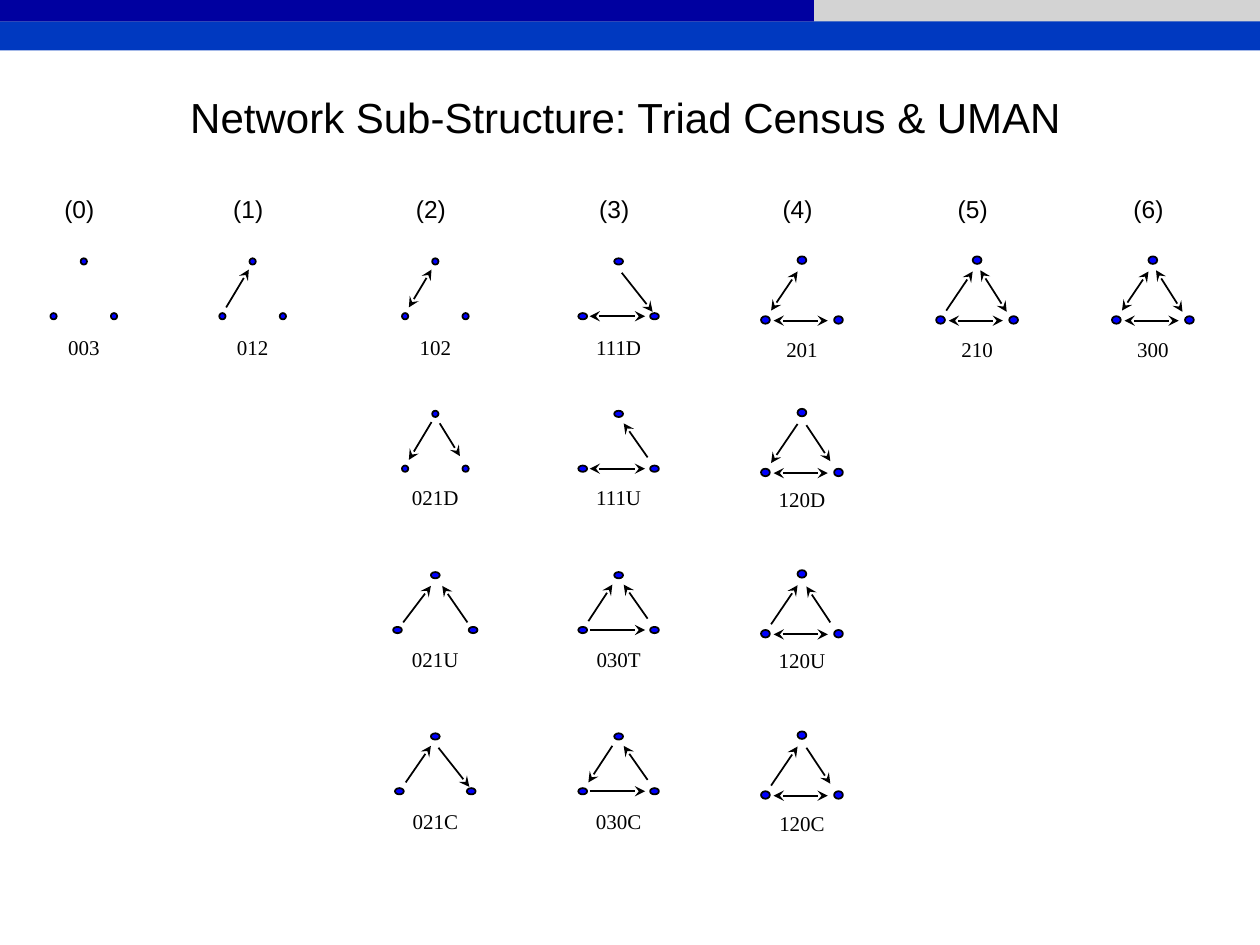
from dataclasses import dataclass, replace
from enum import Enum
from typing import NamedTuple

from lxml import etree
from pptx import Presentation
from pptx import util as u
from pptx.dml.color import RGBColor
from pptx.enum import shapes, text
from pptx.oxml.ns import qn

COLUMNS, ROWS = 1000, 750
COLORS = {"bar": "0039C0", "navy": "0000A0", "grey": "D3D3D3",
          "node": "0000FF", "ink": "000000"}

presentation = Presentation()
presentation.slide_width, presentation.slide_height = u.Inches(10), u.Inches(7.5)


def across(columns: float) -> int:
    return round(presentation.slide_width * columns / COLUMNS)


def down(rows: float) -> int:
    return round(presentation.slide_height * rows / ROWS)


class Flow(Enum):
    FORWARD = ("tailEnd",)
    BACKWARD = ("headEnd",)
    BOTH = ("headEnd", "tailEnd")


class Segment(NamedTuple):
    x1: float
    y1: float
    x2: float
    y2: float


class Row(NamedTuple):
    apex: float
    caption: float


@dataclass(frozen=True)
class Frame:
    half_base: float
    drop: float
    node_width: float
    node_height: float
    left: Segment
    right: Segment
    base: Segment
    lift: float = 0


@dataclass(frozen=True)
class Triad:
    name: str
    column: int
    row: int
    frame: Frame
    left: Flow | None = None
    right: Flow | None = None
    base: Flow | None = None


CENTERS = (66.5, 200.5, 345.5, 491, 636.5, 775.5, 915)
TRIAD_ROWS = (Row(207.5, 261), Row(328.5, 380), Row(456.5, 508), Row(584.5, 637))

NARROW = Frame(24, 43.5, 5, 5, Segment(-21, 36.5, -3, 6.5),
               Segment(19.5, 33.5, 3.5, 7.5), Segment(-18, 43.5, 18, 43.5))
WIDE = Frame(28.5, 43.5, 7, 5, Segment(-24, 36.5, -5, 7.5),
             Segment(23, 34.5, 4, 7.5), Segment(-23, 43.5, 21, 43.5))
STEEP = replace(WIDE, left=Segment(-23.5, 36.5, -3.5, 7.5),
                right=Segment(27, 40, 2.5, 9))
BROAD = replace(WIDE, half_base=30, left=Segment(-25.5, 37.5, -3.5, 8.5),
                right=Segment(25.5, 37.5, 5.5, 8.5))
TALL = Frame(29, 47.5, 7, 6, Segment(-24.5, 40, -3.5, 9),
             Segment(22.5, 38.5, 3.5, 10), Segment(-22.5, 48, 20.5, 48), lift=1)
LONG = replace(TALL, right=Segment(23.5, 41, 2.5, 8))

UP, DOWN, BOTH = Flow.FORWARD, Flow.BACKWARD, Flow.BOTH
RIGHTWARD = Flow.FORWARD
TRIADS = (
    Triad("003", 0, 0, NARROW),
    Triad("012", 1, 0, NARROW, left=UP),
    Triad("102", 2, 0, NARROW, left=BOTH),
    Triad("021D", 2, 1, NARROW, left=DOWN, right=DOWN),
    Triad("021U", 2, 2, BROAD, left=UP, right=UP),
    Triad("021C", 2, 3, STEEP, left=UP, right=DOWN),
    Triad("111D", 3, 0, STEEP, right=DOWN, base=BOTH),
    Triad("111U", 3, 1, WIDE, right=UP, base=BOTH),
    Triad("030T", 3, 2, WIDE, left=UP, right=UP, base=RIGHTWARD),
    Triad("030C", 3, 3, WIDE, left=DOWN, right=UP, base=RIGHTWARD),
    Triad("201", 4, 0, TALL, left=BOTH, base=BOTH),
    Triad("120D", 4, 1, TALL, left=DOWN, right=DOWN, base=BOTH),
    Triad("120U", 4, 2, TALL, left=UP, right=UP, base=BOTH),
    Triad("120C", 4, 3, TALL, left=UP, right=DOWN, base=BOTH),
    Triad("210", 5, 0, LONG, left=UP, right=BOTH, base=BOTH),
    Triad("300", 6, 0, LONG, left=BOTH, right=BOTH, base=BOTH),
)


def add_filled(parent, kind, left: float, top: float, width: float,
               height: float, color: str):
    shape = parent.shapes.add_shape(kind, across(left), down(top),
                                    across(width), down(height))
    shape.shadow.inherit = False
    shape.fill.solid()
    shape.fill.fore_color.rgb = RGBColor.from_string(COLORS[color])
    shape.line.fill.background()
    return shape


def add_node(group, x: float, y: float, frame: Frame) -> None:
    node = add_filled(group, shapes.MSO_SHAPE.OVAL, x - frame.node_width / 2,
                      y - frame.node_height / 2, frame.node_width,
                      frame.node_height, "node")
    node.line.color.rgb = RGBColor.from_string(COLORS["ink"])
    node.line.width = u.Pt(1)


def add_arrow(group, x: float, y: float, segment: Segment, flow: Flow) -> None:
    arrow = group.shapes.add_connector(
        shapes.MSO_CONNECTOR.STRAIGHT, across(x + segment.x1), down(y + segment.y1),
        across(x + segment.x2), down(y + segment.y2))
    arrow.line.color.rgb = RGBColor.from_string(COLORS["ink"])
    arrow.line.width = u.Pt(1)
    line = arrow.line._get_or_add_ln()
    for end in flow.value:
        etree.SubElement(line, qn(f"a:{end}"), type="stealth")
    etree.SubElement(arrow._element.spPr, qn("a:effectLst"))


def write(shape, wording: str, font: str, size: float, alignment) -> None:
    frame = shape.text_frame
    frame.text = wording
    frame.word_wrap = False
    paragraph = frame.paragraphs[0]
    paragraph.alignment = alignment
    paragraph.font.name = font
    paragraph.font.size = u.Pt(size)
    paragraph.font.color.rgb = RGBColor.from_string(COLORS["ink"])


def add_label(slide, wording: str, center: float, top: float, width: float,
              height: float, font: str, size: float) -> None:
    label = slide.shapes.add_textbox(across(center - width / 2), down(top),
                                     across(width), down(height))
    write(label, wording, font, size, text.PP_ALIGN.CENTER)


def draw_triad(slide, triad: Triad) -> None:
    frame, row = triad.frame, TRIAD_ROWS[triad.row]
    x, y = CENTERS[triad.column], row.apex - frame.lift
    add_label(slide, triad.name, x, row.caption + frame.lift, 58, 30,
              "Times New Roman", 12)
    group = slide.shapes.add_group_shape()
    add_node(group, x, y, frame)
    for side in (1, -1):
        add_node(group, x + side * frame.half_base, y + frame.drop, frame)
    for segment, flow in ((frame.left, triad.left), (frame.right, triad.right),
                          (frame.base, triad.base)):
        if flow:
            add_arrow(group, x, y, segment, flow)


def main() -> None:
    slide = presentation.slides.add_slide(presentation.slide_layouts[5])
    title = slide.shapes.title
    title.left, title.top = across(141), down(68)
    title.width, title.height = across(718), down(50)
    write(title, "Network Sub-Structure: Triad Census & UMAN", "Arial", 24,
          text.PP_ALIGN.LEFT)
    title.text_frame.vertical_anchor = text.MSO_ANCHOR.TOP

    for width, height, color in ((COLUMNS, 40, "bar"), (COLUMNS, 17, "grey"),
                                 (646, 17, "navy")):
        add_filled(slide, shapes.MSO_SHAPE.RECTANGLE, 0, 0, width, height, color)
    for count, center in enumerate(CENTERS):
        add_label(slide, f"({count})", center - 3.5, 149, 44, 33, "Arial", 14)
    for triad in TRIADS:
        draw_triad(slide, triad)
    presentation.save("out.pptx")


if __name__ == "__main__":
    main()
